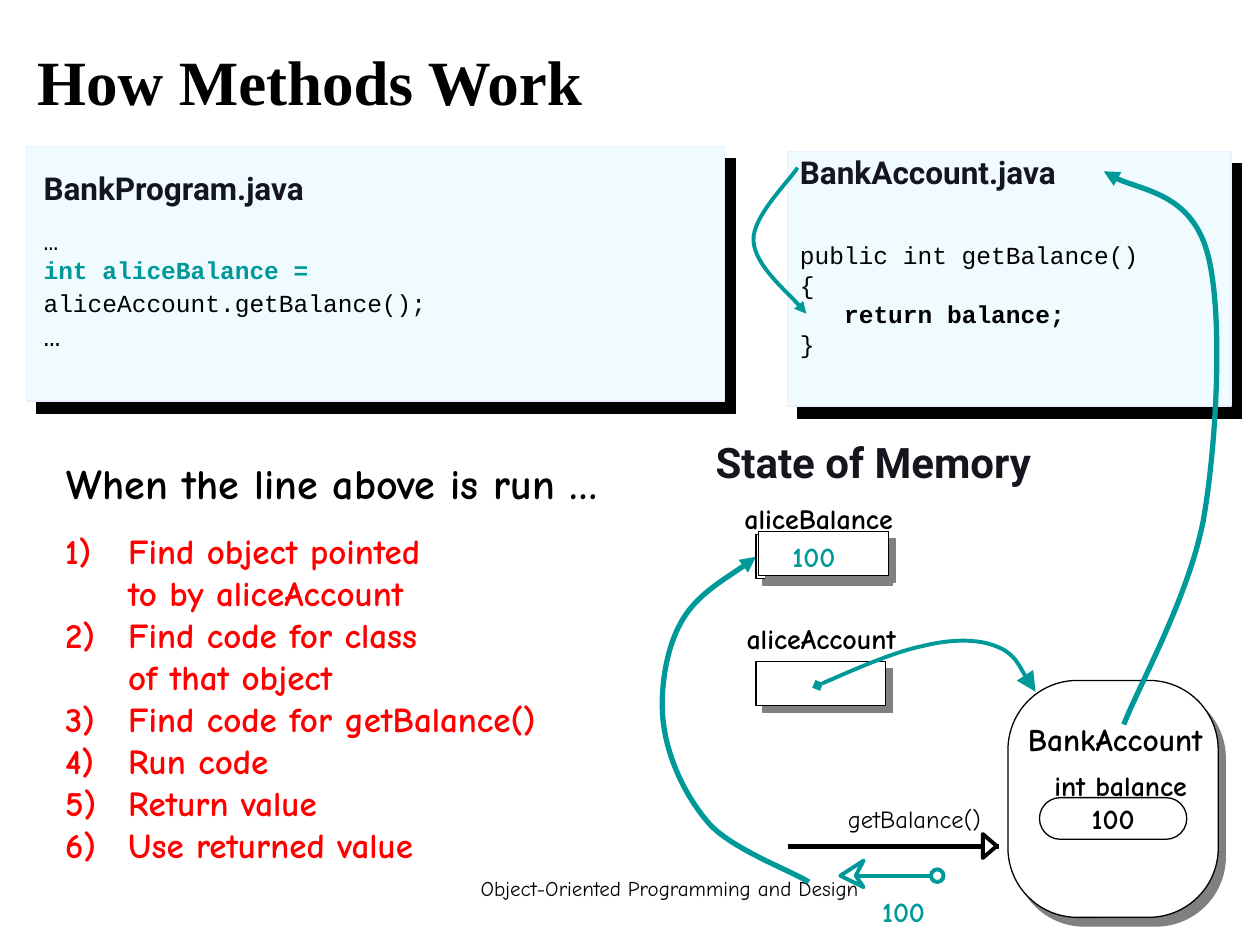
from dataclasses import dataclass
from typing import NamedTuple, Optional

from lxml import etree
from pptx import Presentation
from pptx.dml import color
from pptx.enum import shapes, text
from pptx.oxml import ns
from pptx.util import Pt


@dataclass(frozen=True)
class Theme:
    teal: str = "009999"
    black: str = "000000"
    white: str = "FFFFFF"
    red: str = "FF0000"
    navy: str = "15151D"
    panel: str = "EFFBFF"
    edge: str = "EAF0FE"
    gray: str = "808080"
    hand: str = "Comic Neue"
    code: str = "Courier New"
    sans: str = "Roboto"
    serif: str = "Times New Roman"
    title: int = 36
    head: int = 24
    step: int = 20
    name: int = 18
    label: int = 16
    small: int = 14
    foot: int = 12


class Box(NamedTuple):
    x: float
    y: float
    w: float
    h: float


class Run(NamedTuple):
    text: str
    bold: Optional[bool] = None
    ink: Optional[str] = None
    size: Optional[float] = None


class Curve(NamedTuple):
    """A start point followed by three points for each cubic segment."""
    points: list
    width: float
    head: Optional[str] = None
    tip: str = "med"


T = Theme()
KIND = shapes.MSO_SHAPE
ALIGN = text.PP_ALIGN
MIDDLE = text.MSO_ANCHOR.MIDDLE


def rgb(ink: str) -> color.RGBColor:
    return color.RGBColor.from_string(ink)


def node(parent, tag: str, **attrs):
    return etree.SubElement(parent, ns.qn(tag), attrs)


def write(frame, lines, *, size=T.label, font=T.hand, ink=T.black, bold=False,
          align=ALIGN.LEFT, anchor=text.MSO_ANCHOR.TOP, wrap=True, steps=False):
    """Fill a frame; each line is a string or a list of runs."""
    frame.word_wrap = wrap
    frame.vertical_anchor = anchor
    for i, line in enumerate([lines] if isinstance(lines, str) else lines):
        para = frame.paragraphs[0] if i == 0 else frame.add_paragraph()
        para.alignment = align
        if steps:
            props = para._p.get_or_add_pPr()
            props.set("marL", str(Pt(36)))
            props.set("indent", str(-Pt(36)))
            node(node(props, "a:buClr"), "a:srgbClr", val=ink)
            node(props, "a:buAutoNum", type="arabicParenR")
        for part in [Run(line)] if isinstance(line, str) else line:
            for j, piece in enumerate(part.text.split("\n")):
                if j:
                    para.add_line_break()
                run = para.add_run()
                run.text = piece
                run.font.name = font
                run.font.size = Pt(part.size or size)
                run.font.bold = bold if part.bold is None else part.bold
                run.font.color.rgb = rgb(part.ink or ink)


def label(slide, box: Box, lines, **style):
    write(slide.shapes.add_textbox(*map(Pt, box)).text_frame, lines, **style)


def dress(shape, fill: Optional[str], ink: str, width: float):
    shape.shadow.inherit = False
    if fill:
        shape.fill.solid()
        shape.fill.fore_color.rgb = rgb(fill)
    else:
        shape.fill.background()
    shape.line.color.rgb = rgb(ink)
    shape.line.width = Pt(width)


def block(slide, kind, box: Box, *, fill=T.white, ink=T.black, width=0.75,
          shade=None, dist=5.7, angle=45):
    shape = slide.shapes.add_shape(kind, *map(Pt, box))
    dress(shape, fill, ink, width)
    if shade:
        fx = shape._element.spPr.find(ns.qn("a:effectLst"))
        cast = node(fx, "a:outerShdw", blurRad="0", dist=str(Pt(dist)),
                    dir=str(angle * 60000), algn="ctr", rotWithShape="0")
        node(cast, "a:srgbClr", val=shade)
    return shape


def cell(slide, x: float, y: float):
    block(slide, KIND.RECTANGLE, Box(x, y, 74.2, 25.2), shade=T.gray)


def panel(slide, box: Box):
    block(slide, KIND.RECTANGLE, box, fill=T.panel, ink=T.edge,
          shade=T.black, dist=9.2, angle=49)


def rule(slide, start: float, end: float, y: float, ink: str, width: float):
    line = slide.shapes.add_connector(
        shapes.MSO_CONNECTOR.STRAIGHT, Pt(start), Pt(y), Pt(end), Pt(y))
    line.line.color.rgb = rgb(ink)
    line.line.width = Pt(width)
    node(line._element.spPr, "a:effectLst")


def outline(slide, points, close: bool):
    pts = [(Pt(x), Pt(y)) for x, y in points]
    form = slide.shapes.build_freeform(*pts[0], scale=1.0)
    form.add_line_segments(pts[1:], close=close)
    return form.convert_to_shape()


def bend(slide, curve: Curve):
    """Draw an arrow whose segments are cubic Béziers."""
    shape = outline(slide, curve.points, False)
    dress(shape, None, T.teal, curve.width)
    track = next(shape._element.iter(ns.qn("a:path")))
    legs = track.findall(ns.qn("a:lnTo"))
    for i in range(0, len(legs), 3):
        arc = node(track, "a:cubicBezTo")
        for leg in legs[i:i + 3]:
            arc.append(leg[0])
            track.remove(leg)
    stroke = shape.line._get_or_add_ln()
    if curve.head:
        node(stroke, "a:headEnd", type=curve.head)
    node(stroke, "a:tailEnd", type="triangle", w=curve.tip, len=curve.tip)


RETURN = Curve([(462.2, 504), (453, 498), (420, 486), (406, 471.5),
                (392.5, 456.5), (382.5, 435.5), (379.5, 416), (376.5, 397.5),
                (380, 372), (389, 356), (397.5, 340), (422.5, 326), (432, 318.2)], 3)
POINTER = Curve([(467.3, 391.7), (477.4, 387.4), (509, 373), (526.3, 369.4),
                 (543.6, 365), (558.7, 365), (569.5, 369.4),
                 (580.3, 373.7), (588.2, 391), (591.8, 395.3)], 2.25, "diamond", "lg")
ENTER = Curve([(455.8, 95.8), (451.4, 103), (429.8, 123.8), (430.6, 137.5),
               (431.3, 151.2), (454.3, 170.6), (460.8, 179.3)], 2.25)
LOOKUP = Curve([(642.2, 414), (649.4, 394.6), (679, 342), (687.6, 297.4),
                (695.5, 252), (699.1, 177.1), (689.8, 144),
                (680.4, 110.9), (643, 107.3), (630.7, 97.9)], 3)


def main():
    deck = Presentation()
    deck.slide_width, deck.slide_height = Pt(720), Pt(540)
    slide = deck.slides.add_slide(deck.slide_layouts[6])
    label(slide, Box(218.2, 496.8, 329, 32.4), "Object-Oriented Programming and Design",
          size=T.foot, align=ALIGN.CENTER)
    label(slide, Box(14.2, 14.8, 692, 62.6), "How Methods Work",
          size=T.title, font=T.serif, bold=True, anchor=MIDDLE)
    label(slide, Box(401.8, 246.2, 246.2, 36), "State of Memory",
          size=T.head, font=T.sans, ink=T.navy, bold=True)

    panel(slide, Box(15.1, 83.7, 399, 145.5))
    panel(slide, Box(450, 86.6, 253.5, 145.5))
    for box, name in ((Box(17.8, 92.9, 186, 28.8), "BankProgram.java"),
                      (Box(450, 84.2, 181, 28.8), "BankAccount.java")):
        label(slide, box, name, size=T.name, font=T.sans, ink=T.navy, bold=True)
    label(slide, Box(17.8, 125.5, 390.2, 79.2),
          ["…", [Run("int aliceBalance =", True, T.teal),
                 Run(" aliceAccount.getBalance();"), Run(" ", size=T.label)],
           [Run("…", size=T.label)]], size=T.small, font=T.code)
    label(slide, Box(450, 114, 247.7, 113.8),
          ["public int getBalance()", "{",
           [Run("   "), Run("return balance;", True)], "}"],
          size=T.small, font=T.code, anchor=MIDDLE)

    label(slide, Box(419.5, 351.4, 106, 26.6), "aliceAccount", bold=True)
    cell(slide, 432, 378)
    rule(slide, 450, 571, 483.8, T.black, 2.5)
    tip = block(slide, KIND.ISOSCELES_TRIANGLE, Box(558.7, 479.5, 13.7, 7.9), width=2.25)
    tip.rotation = 90
    label(slide, Box(477.4, 455.8, 96, 24.5), "getBalance()", size=T.small)
    bend(slide, POINTER)

    account = block(slide, KIND.ROUNDED_RECTANGLE, Box(576, 388.8, 120.2, 135.4),
                    shade=T.gray, dist=6.4, angle=51)
    account.adjustments[0] = 0.33
    label(slide, Box(580.3, 408.2, 120, 28.8), "BankAccount", size=T.name, bold=True)
    field = block(slide, KIND.ROUNDED_RECTANGLE, Box(594, 455.8, 84.2, 23.8), fill=None)
    field.adjustments[0] = 0.5
    write(field.text_frame, "100", bold=True, align=ALIGN.CENTER,
          anchor=MIDDLE, wrap=False)
    label(slide, Box(595.4, 435.6, 96, 26.6), "int balance", bold=True)

    label(slide, Box(30.2, 298.8, 318.2, 199.4),
          ["Find object pointed \nto by aliceAccount",
           "Find code for class \nof that object", "Find code for getBalance()",
           "Run code", "Return value", "Use returned value"],
          size=T.step, ink=T.red, bold=True, steps=True)
    label(slide, Box(31, 257.8, 326, 36), "When the line above is run …",
          size=T.head, bold=True)

    label(slide, Box(494.3, 507.6, 44, 26.6), "100", ink=T.teal, bold=True,
          align=ALIGN.CENTER)
    rule(slide, 533.5, 480.2, 500.4, T.teal, 2.25)
    block(slide, KIND.OVAL, Box(532, 496.8, 7.2, 7.2), ink=T.teal, width=2.25)
    barb = outline(slide, [(480.2, 500.4), (493.5, 491.8), (489, 500.4),
                           (493.5, 507)], True)
    dress(barb, T.white, T.teal, 2.25)
    bend(slide, RETURN)

    cell(slide, 432, 305.3)
    label(slide, Box(418.3, 283, 106, 26.6), "aliceBalance", bold=True)
    bend(slide, ENTER)
    bend(slide, LOOKUP)
    cell(slide, 433.4, 303.8)
    label(slide, Box(445.7, 304.6, 43.9, 26.6), "100", ink=T.teal, bold=True)
    deck.save("out.pptx")


if __name__ == "__main__":
    main()
